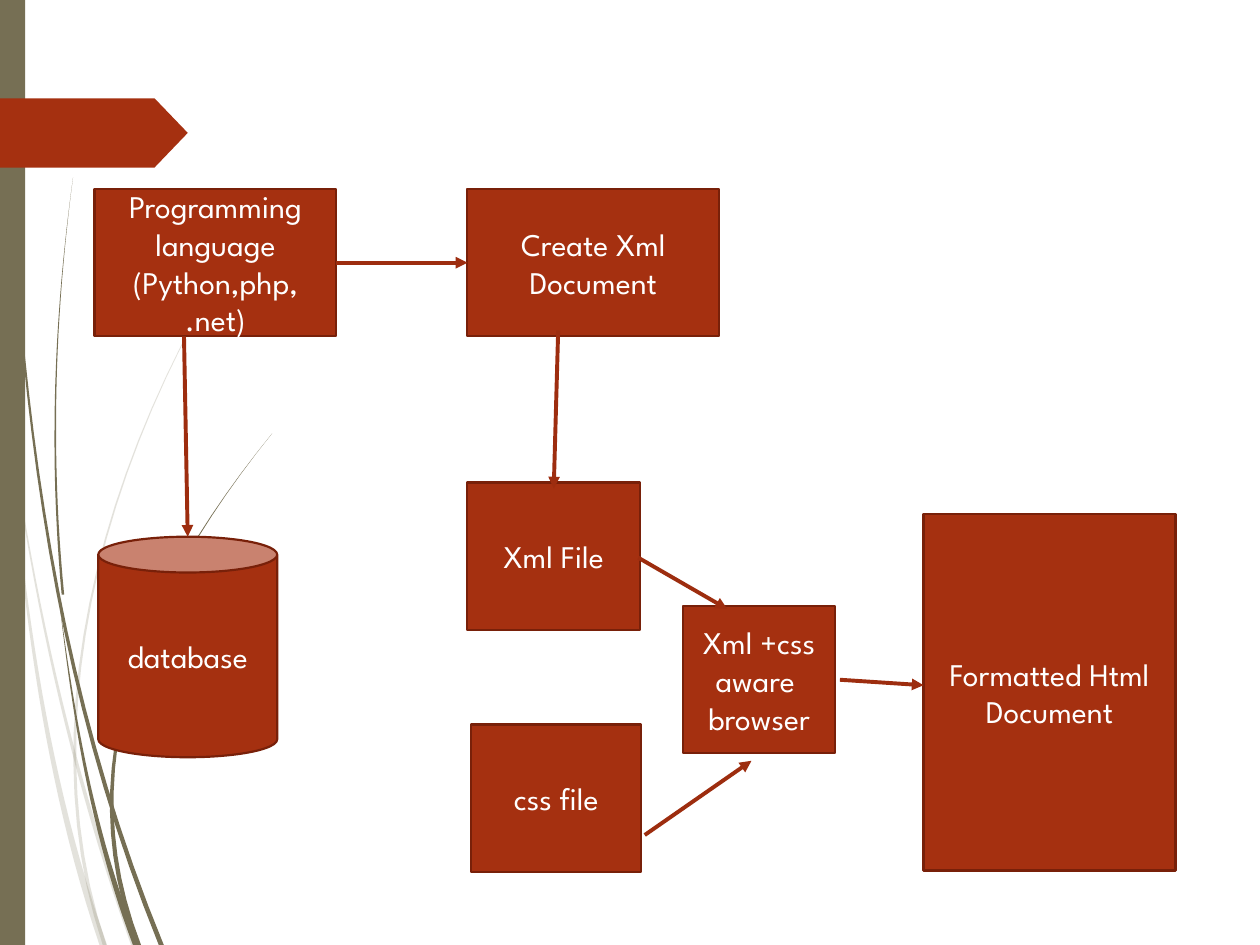
from lxml import etree
from pptx import Presentation
from pptx.dml.color import RGBColor
from pptx.enum.shapes import MSO_CONNECTOR, MSO_SHAPE
from pptx.enum.text import MSO_ANCHOR, PP_ALIGN
from pptx.oxml.ns import qn
from pptx.util import Inches, Pt

RECTANGLE, CAN, PENTAGON = MSO_SHAPE.RECTANGLE, MSO_SHAPE.CAN, MSO_SHAPE.PENTAGON
STRAIGHT = MSO_CONNECTOR.STRAIGHT
MIDDLE, CENTER = MSO_ANCHOR.MIDDLE, PP_ALIGN.CENTER

FONT = "League Spartan"
OLIVE, RUST, RUST_EDGE, ARROW, WHITE = "766F54", "A53010", "782009", "9D2D0F", "FFFFFF"

# Each blade of grass: width at the root, then four evenly spaced points
# on its middle line, from tip to root, in inches
PALE_BLADES = {
    "outer": (0.04, [(0, 2.82), (0.24, 4.4), (0.58, 5.95), (1.06, 7.5)]),
    "inner": (0.06, [(0.08, 3.5), (0.22, 4.83), (0.45, 6.17), (0.82, 7.5)]),
    "branch": (0.03, [(2.17, 1.53), (1.1, 3.5), (0.61, 5.55), (0.83, 7.5)]),
}
DARK_BLADES = {
    "outer": (0.04, [(0.02, 0), (0.16, 2.5), (0.52, 5), (1.28, 7.5)]),
    "inner": (0.05, [(0.47, 4.77), (0.6, 5.68), (0.79, 6.59), (1.08, 7.5)]),
    "branch": (0.04, [(2.16, 3.44), (1.3, 4.75), (0.9, 6.1), (1.1, 7.5)]),
    "upright": (0.02, [(0.58, 1.41), (0.47, 2.5), (0.44, 3.6), (0.5, 4.72)]),
}
BLADE_STEPS = 24

# Name: kind, (left, top, width, height) in the diagram, paragraphs
ROW = 1.17
NODES = {
    "language": (RECTANGLE, (0, 0, 1.92, ROW),
                 ["Programming language", "(Python,php,", ".net)"]),
    "database": (CAN, (0.03, 2.76, 1.42, 1.75), ["database"]),
    "create": (RECTANGLE, (2.96, 0, 2, ROW), ["Create Xml Document"]),
    "xml": (RECTANGLE, (2.96, 2.33, 1.37, ROW), ["Xml File"]),
    "css": (RECTANGLE, (2.99, 4.25, 1.35, ROW), ["css file"]),
    "browser": (RECTANGLE, (4.67, 3.31, 1.21, ROW), ["Xml +css aware ", "browser"]),
    "html": (RECTANGLE, (6.58, 2.58, 2, 2.83), ["Formatted Html Document"]),
}
# From node, to node; each end is a share of the node's width and height
ARROWS = [
    ("language", (0.37, 1), "database", (0.5, 0)),
    ("language", (1, 0.5), "create", (0, 0.5)),
    ("create", (0.36, 0.96), "xml", (0.5, 0.04)),
    ("xml", (0.99, 0.51), "browser", (0.29, 0.02)),
    ("css", (1.02, 0.75), "browser", (0.45, 1.05)),
    ("browser", (1.03, 0.5), "html", (0, 0.48)),
]


def color(hex_string):
    return RGBColor.from_string(hex_string)


def paint(shape, fill, edge=None, opacity=100):
    shape.shadow.inherit = False
    shape.fill.solid()
    shape.fill.fore_color.rgb = color(fill)
    if opacity < 100:
        tint = shape.fill._xPr.find(".//" + qn("a:srgbClr"))
        etree.SubElement(tint, qn("a:alpha"), val=str(opacity * 1000))
    if edge:
        shape.line.color.rgb = color(edge)
        shape.line.width = Pt(1.25)
    else:
        shape.line.fill.background()


def write(shape, lines, size=18, ink=WHITE):
    frame = shape.text_frame
    frame.word_wrap = True
    frame.vertical_anchor = MIDDLE
    for index, text in enumerate(lines):
        para = frame.add_paragraph() if index else frame.paragraphs[0]
        para.alignment = CENTER
        span = para.add_run()
        span.text = text
        span.font.name = FONT
        span.font.size = Pt(size)
        span.font.color.rgb = color(ink)


def cubic_through(values, share):
    """Value at a share of the way along the cubic through four even steps."""
    total = 0
    for step, value in enumerate(values):
        for other in range(4):
            if other != step:
                value *= (3 * share - other) / (step - other)
        total += value
    return total


def add_blade(shapes, left, top, root_width, points, opacity):
    """A curved strip that widens evenly from its tip to its root."""
    xs, ys = zip(*points)
    left_edge, right_edge = [], []
    for step in range(BLADE_STEPS + 1):
        share = step / BLADE_STEPS
        x, y = cubic_through(xs, share), cubic_through(ys, share)
        half = root_width * share / 2
        left_edge.append((left + Inches(x - half), top + Inches(y)))
        right_edge.append((left + Inches(x + half), top + Inches(y)))
    outline = left_edge + right_edge[:0:-1]
    builder = shapes.build_freeform(*outline[0], scale=1.0)
    builder.add_line_segments(outline[1:], close=True)
    paint(builder.convert_to_shape(), OLIVE, opacity=opacity)


def add_grass(page, left, top):
    for blades, opacity in ((PALE_BLADES, 20), (DARK_BLADES, 100)):
        group = page.shapes.add_group_shape()
        for root_width, points in blades.values():
            add_blade(group.shapes, left, top, root_width, points, opacity)


def add_side_bar(page, left, top, height):
    """Upright bar with a pointed banner across it."""
    bar = page.shapes.add_shape(RECTANGLE, left, top, Inches(0.2), height)
    paint(bar, OLIVE)
    banner = page.shapes.add_shape(PENTAGON, left, top + Inches(0.78),
                                   Inches(1.49), Inches(0.55))
    banner.adjustments[0] = 0.48
    paint(banner, RUST)


def add_node(page, left, top, kind, box, lines):
    x, y, width, height = map(Inches, box)
    node = page.shapes.add_shape(kind, left + x, top + y, width, height)
    if kind == CAN:
        node.adjustments[0] = 0.2
    paint(node, RUST, RUST_EDGE)
    write(node, lines)
    return node


def point_on(node, shares):
    across, down = shares
    return (node.left + round(node.width * across),
            node.top + round(node.height * down))


def add_arrow(page, start, end):
    arrow = page.shapes.add_connector(STRAIGHT, *start, *end)
    arrow.line.color.rgb = color(ARROW)
    arrow.line.width = Pt(2.25)
    etree.SubElement(arrow.line._get_or_add_ln(), qn("a:tailEnd"), type="triangle")
    etree.SubElement(arrow._element.spPr, qn("a:effectLst"))


def add_diagram(page, left, top):
    nodes = {name: add_node(page, left, top, *node) for name, node in NODES.items()}
    for source, start, target, end in ARROWS:
        add_arrow(page, point_on(nodes[source], start), point_on(nodes[target], end))


def main():
    deck = Presentation()
    deck.slide_width, deck.slide_height = Inches(10), Inches(7.5)
    page = deck.slides.add_slide(deck.slide_layouts[6])
    add_grass(page, Inches(0), Inches(0))
    add_side_bar(page, Inches(0), Inches(0), deck.slide_height)
    add_diagram(page, Inches(0.75), Inches(1.5))
    deck.save("out.pptx")


if __name__ == "__main__":
    main()
